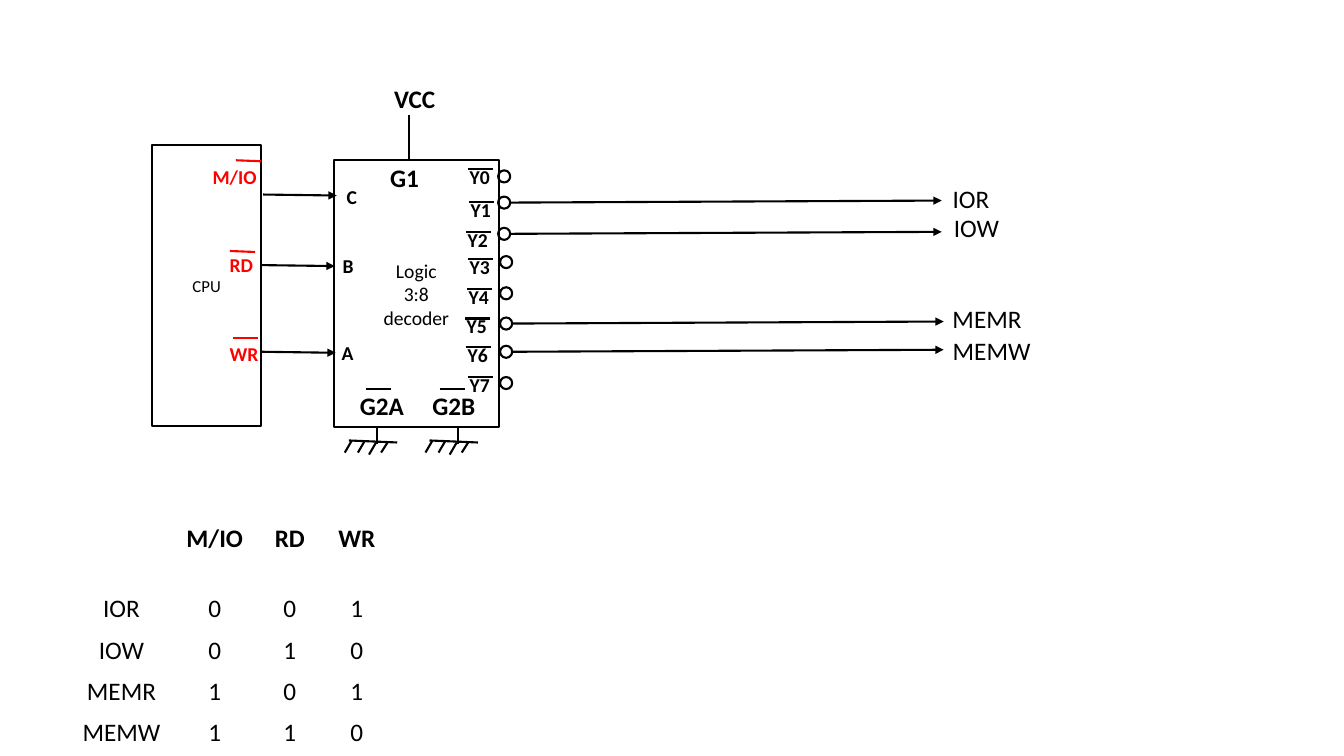
from lxml import etree
from pptx import Presentation
from pptx.dml.color import RGBColor
from pptx.enum import shapes, text
from pptx.oxml.ns import qn
from pptx.util import Inches, Pt

COLORS = {"ink": "000000", "signal": "FF0000"}
FONT = "Calibri"
LINE_PT = 1.5

# Blocks: left, top, width, height, lines, size
CPU = (1.51, 1.44, 1.08, 2.79, ["CPU"], 12)
DECODER = (3.31, 1.59, 1.64, 2.65, ["Logic", "3:8", "decoder"], 14)

# Labels: text, left, top; bars: start, end
CPU_PINS = [
    ("M/IO", 2.01, 1.59, (2.34, 1.59), (2.59, 1.6)),
    ("RD", 2.18, 2.46, (2.28, 2.49), (2.53, 2.5)),
    ("WR", 2.18, 3.34, (2.31, 3.35), (2.56, 3.35)),
]
INPUTS = [  # label, left, top, arrow start
    ("C", 3.34, 1.79, (2.61, 1.93)),
    ("B", 3.3, 2.47, (2.59, 2.63)),
    ("A", 3.29, 3.33, (2.6, 3.49)),
]
Y_PINS = [  # label left, label top, bubble left, bubble top
    (4.56, 1.59, 4.94, 1.69),
    (4.57, 1.91, 4.94, 1.95),
    (4.54, 2.21, 4.94, 2.26),
    (4.56, 2.48, 4.96, 2.54),
    (4.55, 2.78, 4.96, 2.85),
    (4.53, 3.07, 4.96, 3.15),
    (4.54, 3.35, 4.96, 3.43),
    (4.56, 3.65, 4.96, 3.74),
]
OUTPUTS = {  # Y number: label, left, top, width
    1: ("IOR", 9.31, 1.77, 0.64),
    2: ("IOW", 9.33, 2.06, 0.71),
    5: ("MEMR", 9.31, 2.96, 0.96),
    6: ("MEMW", 9.32, 3.28, 1.03),
}
ENABLES = [("G2A", 3.47, 3.63, 3.46), ("G2B", 4.19, 4.36, 4.26)]  # label, bar, ground
GROUND = [  # offsets from the left end of the rail
    ((0, 4.37), (0.48, 4.39)),
    ((0.28, 4.24), (0.28, 4.4)),
    ((0.03, 4.37), (-0.04, 4.49)),
    ((0.16, 4.37), (0.09, 4.49)),
    ((0.27, 4.39), (0.2, 4.51)),
    ((0.39, 4.38), (0.32, 4.49)),
]
TRUTH = [
    ["", "M/IO", "RD", "WR"],
    ["IOR", "0", "0", "1"],
    ["IOW", "0", "1", "0"],
    ["MEMR", "1", "0", "1"],
    ["MEMW", "1", "1", "0"],
]
TABLE_AT = (0.69, 5.14)
COL_WIDTHS = [1.03, 0.82, 0.67, 0.66]
ROW_HEIGHTS = [0.7] + [0.41] * 4

BUBBLE = 0.12
BAR = 0.25
WIRE = 0.73
OUTPUT_WIRE = 4.28


def rgb(name):
    return RGBColor.from_string(COLORS[name])


def write(tf, lines, size, color="ink", bold=False, align=text.PP_ALIGN.LEFT):
    for i, line in enumerate(lines):
        p = tf.paragraphs[0] if i == 0 else tf.add_paragraph()
        p.alignment = align
        r = p.add_run()
        r.text = line
        for key, value in dict(name=FONT, size=Pt(size), bold=bold).items():
            setattr(r.font, key, value)
        r.font.color.rgb = rgb(color)


def label(parent, line, x, y, w=0.65, h=0.33, size=14, color="ink", bold=True,
          wrap=True, align=text.PP_ALIGN.LEFT):
    tf = parent.add_textbox(*map(Inches, (x, y, w, h))).text_frame
    tf.word_wrap = wrap
    tf.auto_size = text.MSO_AUTO_SIZE.SHAPE_TO_FIT_TEXT
    write(tf, [line], size, color, bold, align)


def line(parent, start, end, color="ink", arrow=False):
    c = parent.add_connector(shapes.MSO_CONNECTOR.STRAIGHT,
                             *map(Inches, (*start, *end)))
    c.line.width = Pt(LINE_PT)
    c.line.color.rgb = rgb(color)
    if arrow:
        etree.SubElement(c.line._get_or_add_ln(), qn("a:tailEnd"), type="triangle")
    etree.SubElement(c._element.spPr, qn("a:effectLst"))


def outline(parent, kind, x, y, w, h):
    sp = parent.add_shape(kind, *map(Inches, (x, y, w, h)))
    sp.shadow.inherit = False
    sp.fill.background()
    sp.line.color.rgb = rgb("ink")
    sp.line.width = Pt(LINE_PT)
    return sp


def block(parent, x, y, w, h, lines, size):
    tf = outline(parent, shapes.MSO_SHAPE.RECTANGLE, x, y, w, h).text_frame
    tf.word_wrap = True
    tf.vertical_anchor = text.MSO_ANCHOR.MIDDLE
    write(tf, lines, size, align=text.PP_ALIGN.CENTER)


def draw_cpu(parent):
    block(parent, *CPU)
    for name, x, y, start, end in CPU_PINS:
        label(parent, name, x, y, color="signal")
        line(parent, start, end, "signal")


def draw_decoder(parent):
    block(parent, *DECODER)
    for name, x, y, start in INPUTS:
        label(parent, name, x, y)
        line(parent, start, (start[0] + WIRE, start[1] + 0.01), arrow=True)
    label(parent, "G1", 3.77, 1.56, 0.57, 0.4, 18, wrap=False)
    line(parent, (4.06, 1.59), (4.06, 1.14))
    label(parent, "VCC", 3.81, 0.78, 1.15, 0.4, 18)
    for name, x, bar_x, ground_x in ENABLES:
        label(parent, name, x, 3.82, 0.73, 0.4, 18)
        line(parent, (bar_x, 3.86), (bar_x + BAR, 3.86))
        for (x1, y1), (x2, y2) in GROUND:
            line(parent, (ground_x + x1, y1), (ground_x + x2, y2))


def draw_outputs(parent):
    for i, (x, y, bubble_x, bubble_y) in enumerate(Y_PINS):
        pin = parent.add_group_shape().shapes
        label(pin, f"Y{i}", x, y)
        line(pin, (x + 0.08, y + 0.09), (x + 0.08 + BAR, y + 0.09))
        outline(parent, shapes.MSO_SHAPE.OVAL, bubble_x, bubble_y, BUBBLE, BUBBLE)
        if i in OUTPUTS:
            name, name_x, name_y, w = OUTPUTS[i]
            wire_x, wire_y = bubble_x + BUBBLE, bubble_y + BUBBLE / 2
            line(parent, (wire_x, wire_y),
                 (wire_x + OUTPUT_WIRE, wire_y - 0.02), arrow=True)
            label(parent, name, name_x, name_y, w, 0.4, 18, bold=False,
                  wrap=False, align=text.PP_ALIGN.CENTER)


def draw_truth_table(parent):
    size = (sum(COL_WIDTHS), sum(ROW_HEIGHTS))
    table = parent.add_table(len(TRUTH), len(TRUTH[0]),
                             *map(Inches, TABLE_AT + size)).table
    table.first_row = table.horz_banding = False
    for col, w in zip(table.columns, COL_WIDTHS):
        col.width = Inches(w)
    for i, (row, h) in enumerate(zip(table.rows, ROW_HEIGHTS)):
        row.height = Inches(h)
        for cell, value in zip(row.cells, TRUTH[i]):
            cell.fill.background()
            if value:
                write(cell.text_frame, [value], 18, bold=i == 0,
                      align=text.PP_ALIGN.CENTER)


def main():
    prs = Presentation()
    prs.slide_width, prs.slide_height = Inches(13.33), Inches(7.5)
    s = prs.slides.add_slide(prs.slide_layouts[6])
    draw_cpu(s.shapes.add_group_shape().shapes)
    draw_decoder(s.shapes)
    draw_outputs(s.shapes)
    draw_truth_table(s.shapes)
    prs.save("out.pptx")


if __name__ == "__main__":
    main()
